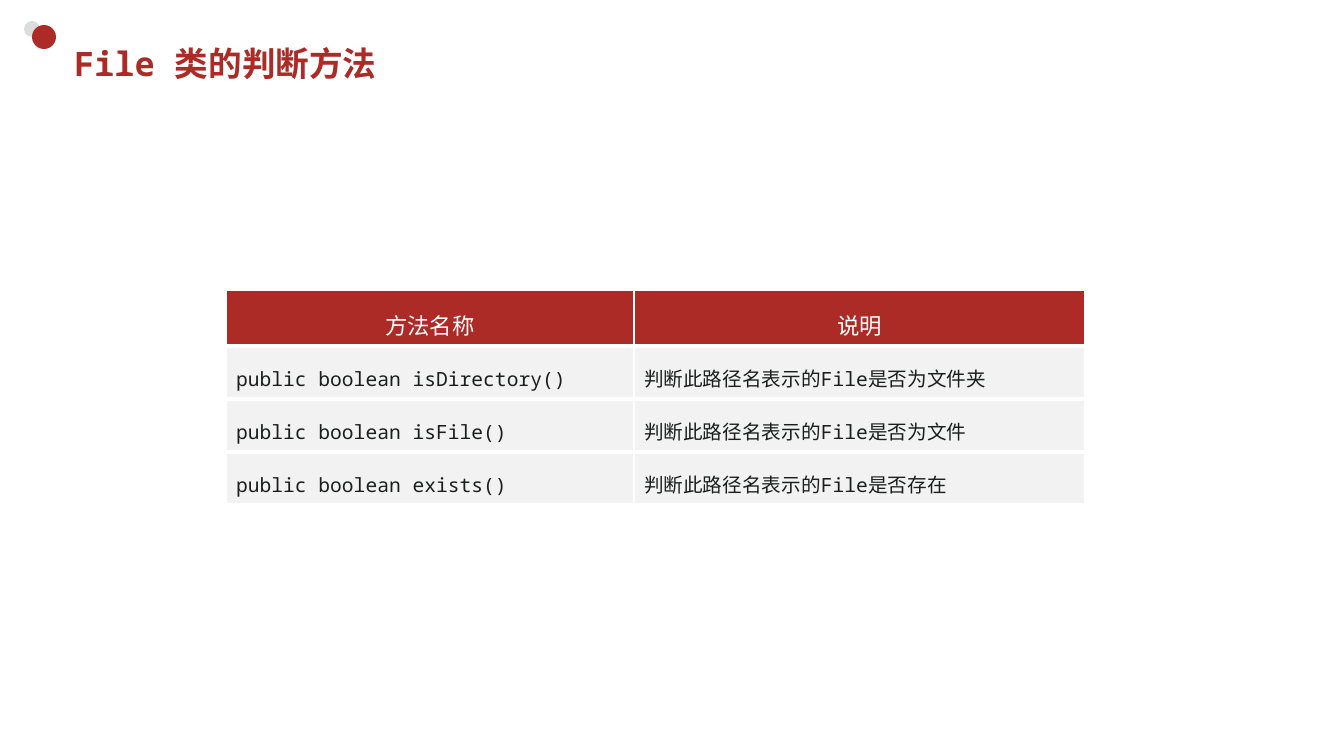
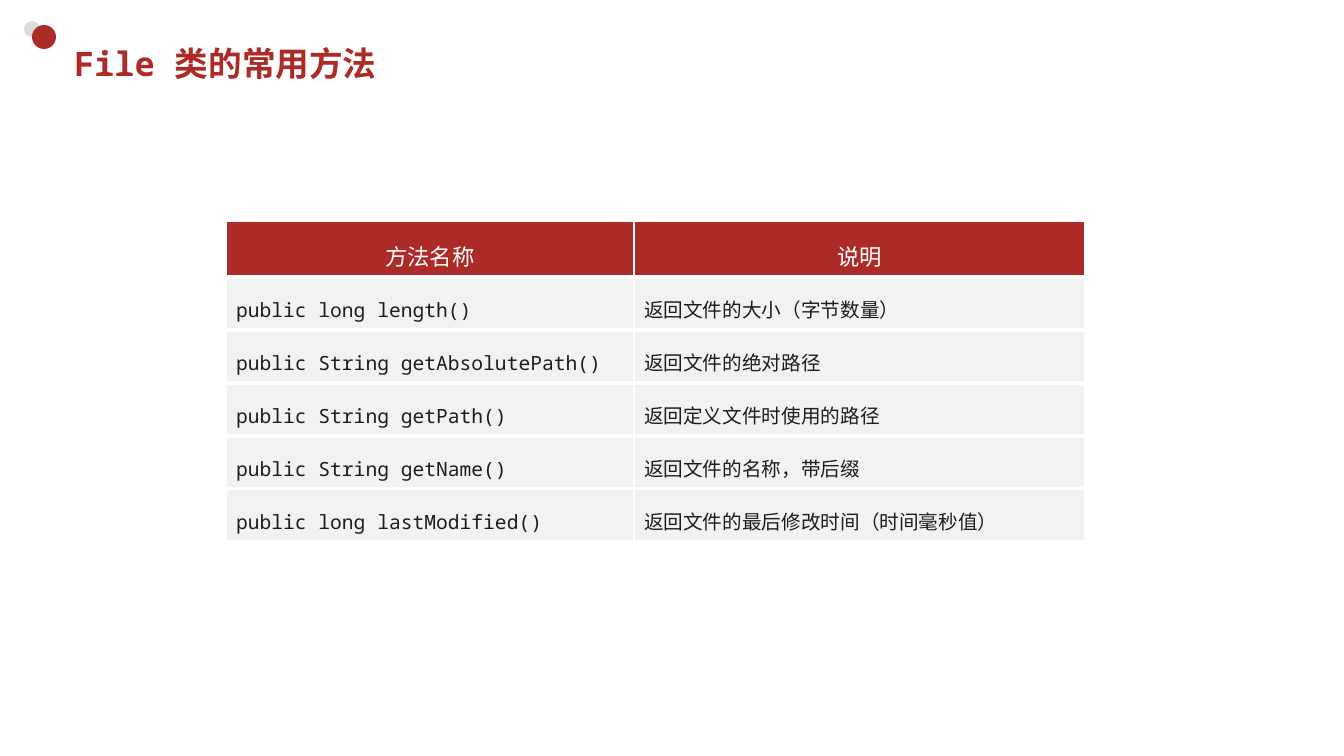
from lxml import etree
from pptx import Presentation
from pptx import util as u
from pptx.dml.color import RGBColor
from pptx.enum import shapes, text
from pptx.oxml import ns

SCALE = 914400 / 100.8
RED = RGBColor(0xAD, 0x2B, 0x26)
SILVER = RGBColor(0xDA, 0xDD, 0xDC)
PALE = RGBColor(0xF2, 0xF2, 0xF2)
INK = RGBColor(0x1B, 0x1E, 0x1D)
WHITE = RGBColor(0xFF, 0xFF, 0xFF)
FONT = "Noto Sans Mono"

HEAD = ("方法名称", "说明")
TESTS = [
    ("public boolean isDirectory()", "判断此路径名表示的File是否为文件夹"),
    ("public boolean isFile()", "判断此路径名表示的File是否为文件"),
    ("public boolean exists()", "判断此路径名表示的File是否存在"),
]
GETTERS = [
    ("public long length()", "返回文件的大小（字节数量）"),
    ("public String getAbsolutePath()", "返回文件的绝对路径"),
    ("public String getPath()", "返回定义文件时使用的路径"),
    ("public String getName()", "返回文件的名称，带后缀"),
    ("public long lastModified()", "返回文件的最后修改时间（时间毫秒值）"),
]


def px(n):
    return u.Emu(round(n * SCALE))


class Deck:
    def __init__(self):
        self.prs = Presentation()
        self.prs.slide_width, self.prs.slide_height = px(1344), px(756)
        self.slide = None

    def page(self, title):
        self.slide = self.prs.slides.add_slide(self.prs.slide_layouts[5])
        self.dot(24, 21, 16, SILVER)
        self.dot(32, 25, 24, RED)
        self.title(title)

    def dot(self, x, y, size, color):
        dot = self.slide.shapes.add_shape(
            shapes.MSO_SHAPE.OVAL, px(x), px(y), px(size), px(size))
        dot.shadow.inherit = False
        dot.fill.solid()
        dot.fill.fore_color.rgb = color
        dot.line.fill.background()

    def title(self, words):
        box = self.slide.shapes.title
        box.left, box.top, box.width, box.height = map(px, (64, 37, 1183, 52))
        frame = box.text_frame
        frame.auto_size = text.MSO_AUTO_SIZE.NONE
        frame.vertical_anchor = text.MSO_ANCHOR.MIDDLE
        para = frame.paragraphs[0]
        para.alignment = text.PP_ALIGN.LEFT
        self.run(para, words, 24, RED, True)

    def run(self, para, words, size, color, bold=False):
        run = para.add_run()
        run.text = words
        font = run.font
        font.name, font.size, font.bold = FONT, u.Pt(size), bold
        font.color.rgb = color
        etree.SubElement(run._r.get_or_add_rPr(), ns.qn("a:ea"), typeface=FONT)

    def table(self, top, rows):
        cols = (408, 451)
        high = [41] + [53] * len(rows)
        grid = self.slide.shapes.add_table(
            len(high), len(cols), px(226), px(top), px(sum(cols)), px(sum(high))).table
        grid.horz_banding = False
        for col, wide in zip(grid.columns, cols):
            col.width = px(wide)
        for i, (row, tall, words) in enumerate(zip(grid.rows, high, [HEAD] + rows)):
            row.height = px(tall)
            for cell, word in zip(row.cells, words):
                self.cell(cell, word, i == 0)

    def cell(self, cell, words, head):
        self.edge(cell, L=1, R=1, T=1 if head else 3, B=3)
        cell.fill.solid()
        cell.fill.fore_color.rgb = RED if head else PALE
        cell.vertical_anchor = text.MSO_ANCHOR.MIDDLE
        para = cell.text_frame.paragraphs[0]
        para.line_spacing = 1.5
        para.alignment = text.PP_ALIGN.CENTER if head else text.PP_ALIGN.LEFT
        self.run(para, words, 16 if head else 14, WHITE if head else INK)

    def edge(self, cell, **sides):
        """Draw white cell borders, each side given its width in points."""
        props = cell._tc.get_or_add_tcPr()
        for side, wide in sides.items():
            line = etree.SubElement(props, ns.qn("a:ln" + side), w=str(u.Pt(wide)))
            fill = etree.SubElement(line, ns.qn("a:solidFill"))
            etree.SubElement(fill, ns.qn("a:srgbClr"), val=str(WHITE))


def main():
    deck = Deck()
    deck.page("File 类的判断方法")
    deck.table(290, TESTS)
    deck.page("File 类的常用方法")
    deck.table(221, GETTERS)
    deck.prs.save("out.pptx")


if __name__ == "__main__":
    main()
